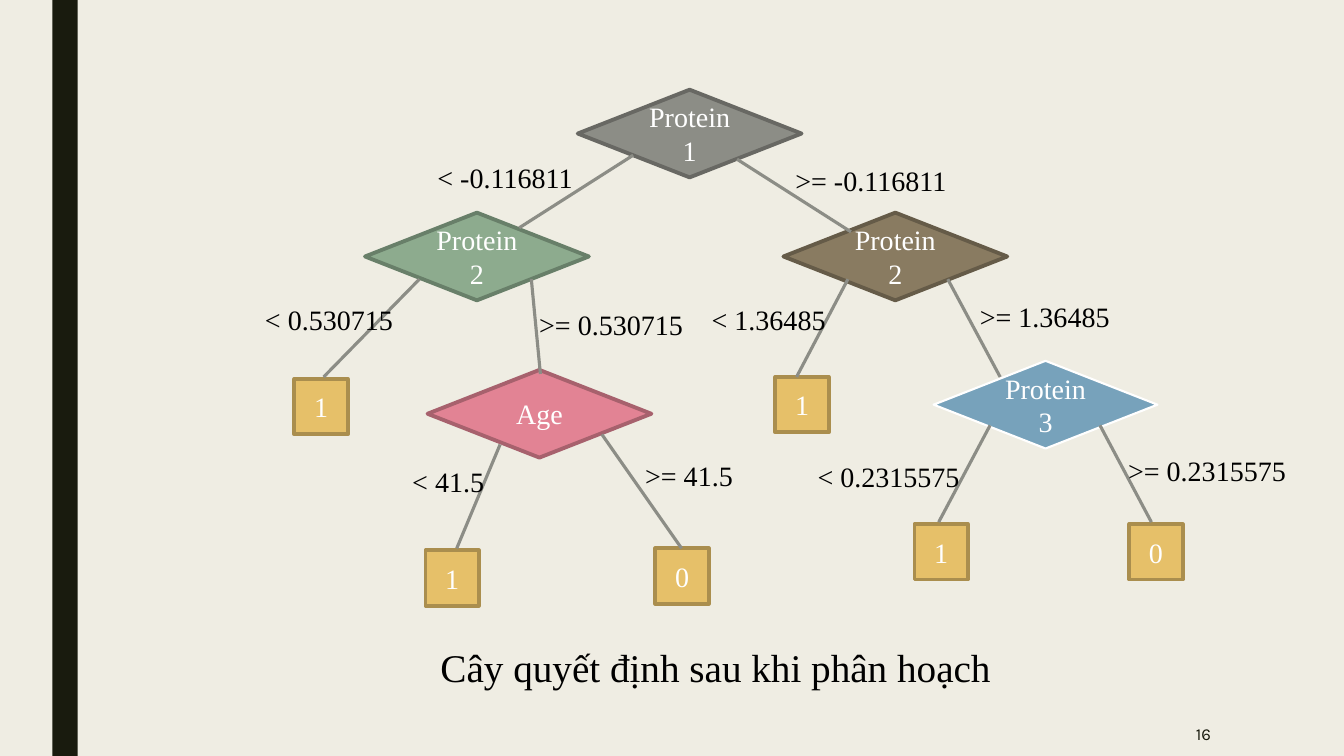
from lxml import etree
from pptx import Presentation
from pptx.dml.color import RGBColor
from pptx.enum.shapes import MSO_CONNECTOR, MSO_SHAPE
from pptx.enum.text import MSO_ANCHOR, PP_ALIGN
from pptx.oxml.ns import qn
from pptx.util import Inches, Pt

DIAMOND = MSO_SHAPE.DIAMOND
RECTANGLE = MSO_SHAPE.RECTANGLE
STRAIGHT = MSO_CONNECTOR.STRAIGHT
TOP, MIDDLE = MSO_ANCHOR.TOP, MSO_ANCHOR.MIDDLE
LEFT, CENTER, RIGHT = PP_ALIGN.LEFT, PP_ALIGN.CENTER, PP_ALIGN.RIGHT

BACKGROUND, DARK, BRANCH_GRAY = "EFEDE3", "191B0E", "8C8D86"
BLACK, WHITE = "000000", "FFFFFF"
DECISION_SIZE = (2.22, 0.87)
LEAF_SIZE = (0.53, 0.55)

# Text, left, top, fill, outline, outline width
DECISIONS = [
    ("Protein1", 5.73, 0.89, "8C8D86", "686863", 2.75),
    ("Protein2", 3.62, 2.11, "8DAB8E", "687F69", 2.75),
    ("Protein2", 7.77, 2.11, "897B61", "655B48", 2.75),
    ("Age", 4.24, 3.67, "E28394", "A7616D", 2.75),
    ("Protein3", 9.26, 3.58, "77A2BB", WHITE, 1.5),
]

# Class, left, top
LEAVES = [
    ("1", 2.92, 3.76),
    ("1", 7.69, 3.74),
    ("1", 4.22, 5.46),
    ("0", 6.5, 5.44),
    ("1", 9.07, 5.2),
    ("0", 11.2, 5.2),
]

# Start, end, condition, then left, top and width of its label
BRANCHES = [
    ((6.28, 1.54), (5.15, 2.26), "< -0.116811", 4.24, 1.54, 1.78),
    ((7.31, 1.58), (8.44, 2.3), ">= -0.116811", 7.79, 1.57, 1.7),
    ((4.16, 2.77), (3.21, 3.74), "< 0.530715", 2.53, 2.95, 1.6),
    ((5.27, 2.77), (5.36, 3.71), ">= 0.530715", 5.25, 3, 1.76),
    ((8.41, 2.77), (7.9, 3.74), "< 1.36485", 6.96, 2.95, 1.57),
    ((9.4, 2.77), (9.92, 3.74), ">= 1.36485", 9.62, 2.92, 1.76),
    ((4.96, 4.41), (4.53, 5.44), "< 41.5", 3.99, 4.56, 1.08),
    ((5.97, 4.31), (6.76, 5.44), ">= 41.5", 6.3, 4.5, 1.18),
    ((9.82, 4.22), (9.31, 5.18), "< 0.2315575", 8.01, 4.51, 1.71),
    ((10.91, 4.22), (11.42, 5.18), ">= 0.2315575", 11.09, 4.45, 1.88),
]


def color(hex_string):
    return RGBColor.from_string(hex_string)


def write_text(shape, text, size=20, font="Times New Roman", text_color=BLACK,
               align=LEFT, anchor=TOP):
    frame = shape.text_frame
    frame.word_wrap = True
    frame.vertical_anchor = anchor
    paragraph = frame.paragraphs[0]
    paragraph.alignment = align
    run = paragraph.add_run()
    run.text = text
    run.font.size = Pt(size)
    run.font.name = font
    run.font.color.rgb = color(text_color)


def add_label(slide, text, left, top, width, height=0.44, **text_format):
    box = slide.shapes.add_textbox(*map(Inches, (left, top, width, height)))
    write_text(box, text, **text_format)


def add_block(slide, kind, left, top, size, fill, outline=None, weight=2.75):
    shape = slide.shapes.add_shape(kind, *map(Inches, (left, top, *size)))
    shape.shadow.inherit = False
    shape.fill.solid()
    shape.fill.fore_color.rgb = color(fill)
    if outline:
        shape.line.color.rgb = color(outline)
        shape.line.width = Pt(weight)
    else:
        shape.line.fill.background()
    return shape


def add_node(slide, kind, text, left, top, size, fill, outline, weight=2.75):
    node = add_block(slide, kind, left, top, size, fill, outline, weight)
    write_text(node, text, text_color=WHITE, align=CENTER, anchor=MIDDLE)


def add_branch(slide, start, end):
    line = slide.shapes.add_connector(STRAIGHT, *map(Inches, (*start, *end)))
    line.line.color.rgb = color(BRANCH_GRAY)
    line.line.width = Pt(2.25)
    etree.SubElement(line._element.spPr, qn("a:effectLst"))


def main():
    presentation = Presentation()
    presentation.slide_width = Inches(13.33)
    presentation.slide_height = Inches(7.5)
    slide = presentation.slides.add_slide(presentation.slide_layouts[6])

    # Background and side bar
    slide.background.fill.solid()
    slide.background.fill.fore_color.rgb = color(BACKGROUND)
    add_block(slide, RECTANGLE, 0.52, 0, (0.25, 7.5), DARK)

    # Tree nodes
    for text, left, top, fill, outline, weight in DECISIONS:
        add_node(slide, DIAMOND, text, left, top, DECISION_SIZE, fill, outline, weight)
    for text, left, top in LEAVES:
        add_node(slide, RECTANGLE, text, left, top, LEAF_SIZE, "E6C069", "AA8E4E")

    # Branches and their conditions
    for start, end, condition, left, top, width in BRANCHES:
        add_branch(slide, start, end)
        add_label(slide, condition, left, top, width)

    # Caption and slide number
    add_label(slide, "Cây quyết định sau khi phân hoạch", 4.27, 6.33, 5.95, 0.57, size=28)
    add_label(slide, "16", 10.36, 7.06, 1.75, size=12, font="Karla",
              text_color=DARK, align=RIGHT, anchor=MIDDLE)

    presentation.save("out.pptx")


if __name__ == "__main__":
    main()
